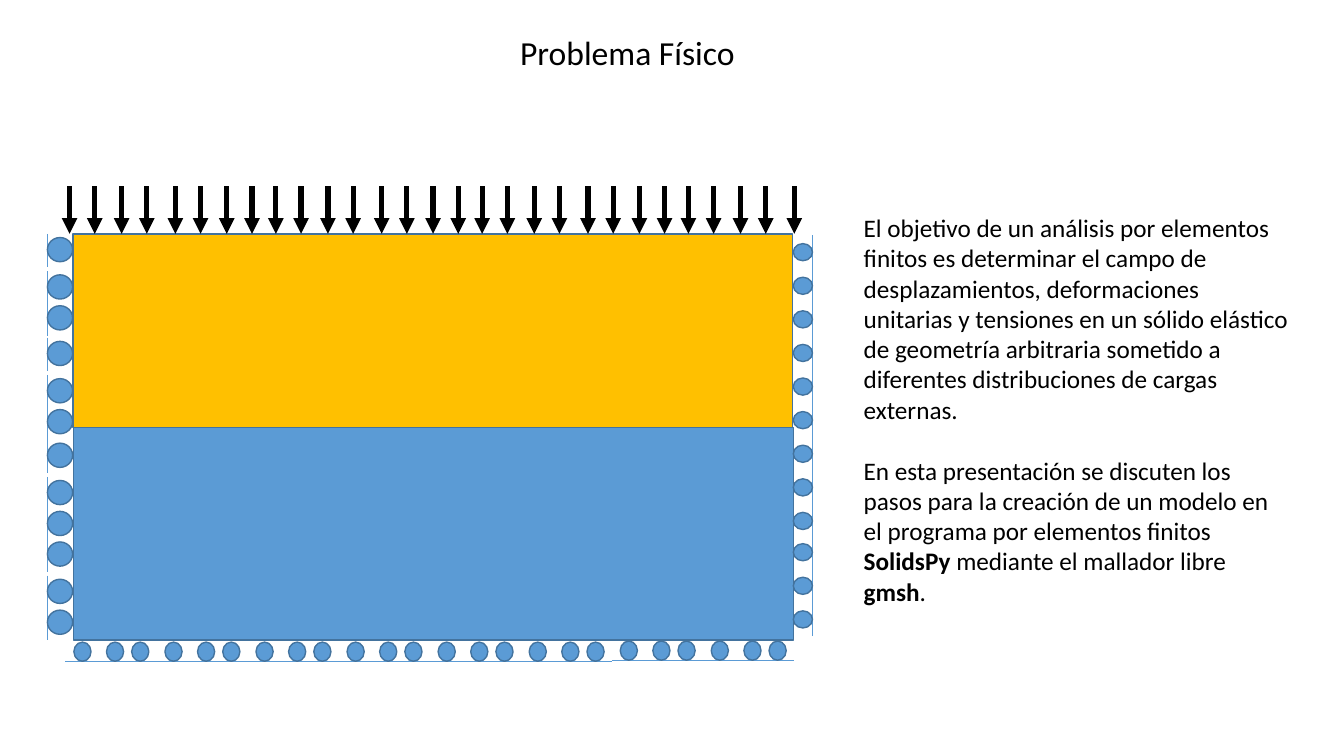
from lxml.etree import SubElement
from pptx import Presentation
from pptx.dml.color import RGBColor
from pptx.enum.shapes import MSO_CONNECTOR, MSO_SHAPE
from pptx.enum.text import MSO_ANCHOR, MSO_AUTO_SIZE, PP_ALIGN
from pptx.oxml.ns import qn
from pptx.util import Inches, Pt

BLACK = RGBColor(0x00, 0x00, 0x00)
GOLD = RGBColor(0xFF, 0xC0, 0x00)
BLUE = RGBColor(0x5B, 0x9B, 0xD5)
NAVY = RGBColor(0x43, 0x73, 0x9E)

COLS, ROWS = 40, 22.5
OBJECTIVE = (
    "El objetivo de un análisis por elementos finitos es determinar el campo de "
    "desplazamientos, deformaciones unitarias y tensiones en un sólido elástico de "
    "geometría arbitraria sometido a diferentes distribuciones de cargas externas."
)
PURPOSE = [
    ("En esta presentación se discuten los pasos para la creación de un modelo en "
     "el programa por elementos finitos ", False),
    ("SolidsPy", True),
    (" mediante el mallador libre ", False),
    ("gmsh", True),
    (".", False),
]


class Diagram:
    font = "Calibri"

    def __init__(self, prs):
        self.col = prs.slide_width / COLS
        self.row = prs.slide_height / ROWS
        self.s = prs.slides.add_slide(prs.slide_layouts[5])

    def box(self, x, y, w, h):
        return (round(x * self.col), round(y * self.row),
                round(w * self.col), round(h * self.row))

    def group(self):
        return self.s.shapes.add_group_shape().shapes

    def shape(self, shapes, kind, box, fill):
        sp = shapes.add_shape(kind, *self.box(*box))
        sp.shadow.inherit = False
        sp.fill.solid()
        sp.fill.fore_color.rgb = fill
        sp.line.color.rgb = NAVY
        sp.line.width = Pt(1)
        return sp

    def line(self, shapes, start, end, color, width):
        ends = self.box(*start, *end)
        ln = shapes.add_connector(MSO_CONNECTOR.STRAIGHT, *ends)
        ln.line.color.rgb = color
        ln.line.width = Pt(width)
        SubElement(ln._element.spPr, qn("a:effectLst"))
        return ln

    def arrow(self, shapes, start, end):
        ln = self.line(shapes, start, end, BLACK, 3.75)
        SubElement(ln.line._get_or_add_ln(), qn("a:tailEnd"), type="triangle")

    def roller(self, shapes, start, end, ball, rotation=0):
        self.line(shapes, start, end, BLUE, 0.5)
        self.shape(shapes, MSO_SHAPE.OVAL, ball, BLUE).rotation = rotation

    def style(self, p, size):
        p.alignment = PP_ALIGN.LEFT
        for r in p.runs:
            r.font.name = self.font
            r.font.size = Pt(size)
            r.font.color.rgb = BLACK

    def title(self, text, box):
        sp = self.s.shapes.title
        sp.left, sp.top, sp.width, sp.height = self.box(*box)
        tf = sp.text_frame
        tf.text = text
        tf.word_wrap = False
        tf.auto_size = MSO_AUTO_SIZE.SHAPE_TO_FIT_TEXT
        tf.vertical_anchor = MSO_ANCHOR.TOP
        self.style(tf.paragraphs[0], 24)

    def text(self, first, runs, box):
        tf = self.s.shapes.add_textbox(*self.box(*box)).text_frame
        tf.text = first
        tf.word_wrap = True
        tf.auto_size = MSO_AUTO_SIZE.SHAPE_TO_FIT_TEXT
        p = tf.add_paragraph()
        p.space_before = Pt(22)
        for text, bold in runs:
            r = p.add_run()
            r.text = text
            r.font.bold = bold
        for p in tf.paragraphs:
            self.style(p, 18)


def main():
    prs = Presentation()
    prs.slide_width, prs.slide_height = Inches(13.33), Inches(7.5)
    d = Diagram(prs)
    d.title("Problema Físico", (15.18, 0.81, 7.08, 1.5))

    shapes = d.s.shapes
    d.shape(shapes, MSO_SHAPE.RECTANGLE, (2.17, 6.96, 21.42, 5.76), GOLD)
    d.shape(shapes, MSO_SHAPE.RECTANGLE, (2.19, 12.72, 21.42, 6.33), BLUE)

    left = d.group()
    for top in (6.96, 10.05, 13.08, 16.02):
        for step in (0, 1.11, 2.03):
            y = top + step
            d.roller(left, (1.41, y), (1.41, y + 1), (1.41, y + 0.11, 0.75, 0.72))

    bottom = d.group()
    for i in range(8):
        y = 19.68 if i < 6 else 19.65
        for step in (0, 0.97, 1.72):
            x = 1.95 + 2.71 * i + step
            d.roller(bottom, (x, y), (x + 1, y), (x + 0.25, y - 0.57, 0.51, 0.57))

    right = d.group()
    for i in range(12):
        y = 7 + i - (0.07 if i > 8 else 0)
        d.roller(right, (24.18, y + 1), (24.18, y), (23.64, y + 0.22, 0.51, 0.57), 270)

    load = d.group()
    steps = (0, 0.75, 1.55, 2.3, 3.15, 3.9, 4.68, 5.43)
    for i in range(29):
        x = 2.07 + 6.14 * (i // len(steps)) + steps[i % len(steps)]
        d.arrow(load, (x, 5.55), (x, 6.96))

    d.text(OBJECTIVE, PURPOSE, (25.41, 6.18, 13.29, 12.12))
    prs.save("out.pptx")


if __name__ == "__main__":
    main()
